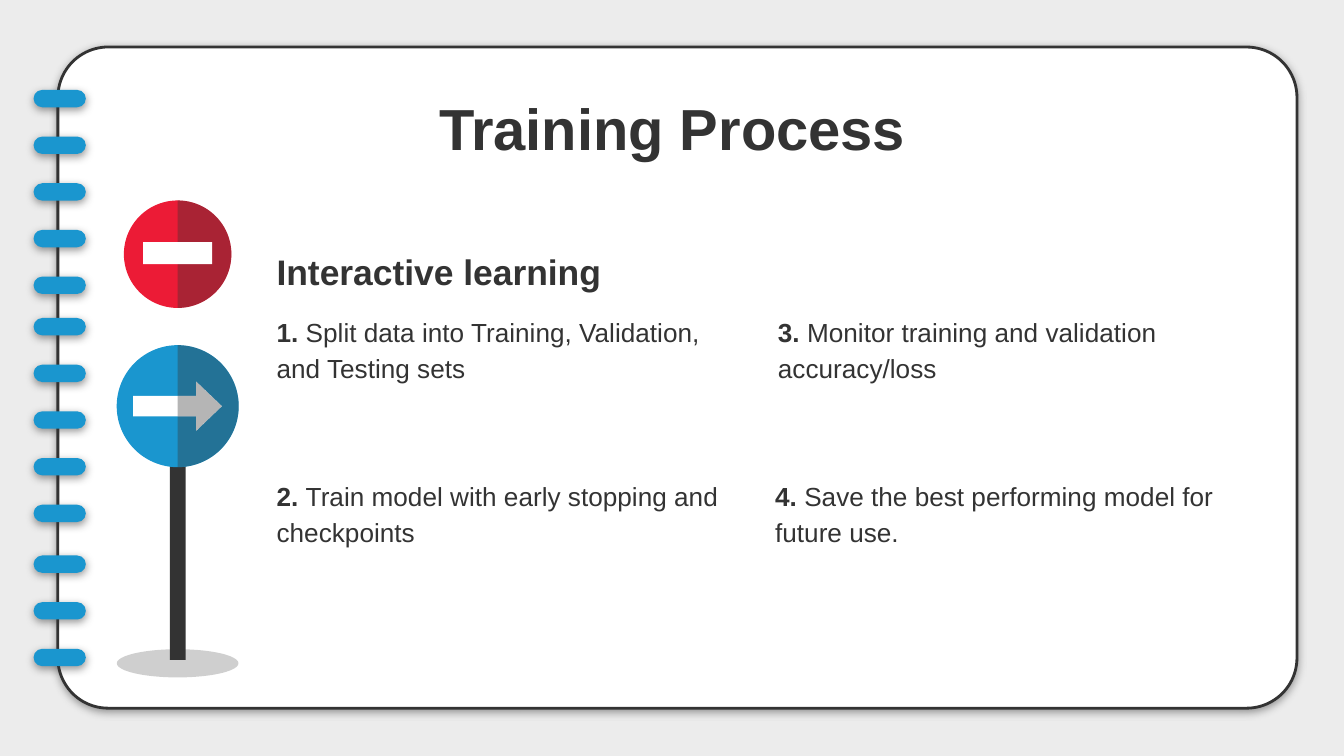
from math import cos, pi, sin

from lxml import etree
from pptx import Presentation
from pptx import util as u
from pptx.dml.color import RGBColor
from pptx.enum import shapes, text
from pptx.oxml import ns

Pt = u.Pt
SHAPE = shapes.MSO_SHAPE
INK, BLUE, RED, WHITE, PAPER = "333333", "1A96CF", "EC1B36", "FFFFFF", "ECECEC"


def color(hex_string):
    return RGBColor.from_string(hex_string)


def add_alpha(node, percent):
    etree.SubElement(node, ns.qn("a:alpha"), val=str(percent * 1000))


class Deck:
    """Slide style plus the slide being drawn; lengths are in points."""

    font = "Arial"

    def __init__(self, width, height):
        self.prs = Presentation()
        self.prs.slide_width, self.prs.slide_height = Pt(width), Pt(height)
        self.s = self.prs.slides.add_slide(self.prs.slide_layouts[6])
        self.s.background.fill.solid()
        self.s.background.fill.fore_color.rgb = color(PAPER)

    def paint(self, sp, fill, alpha=None):
        sp.shadow.inherit = False
        sp.fill.solid()
        sp.fill.fore_color.rgb = color(fill)
        sp.line.fill.background()
        if alpha:
            add_alpha(sp.fill._xPr.find(".//" + ns.qn("a:srgbClr")), alpha)
        return sp

    def shape(self, kind, x, y, w, h, fill, alpha=None):
        sp = self.s.shapes.add_shape(kind, Pt(x), Pt(y), Pt(w), Pt(h))
        return self.paint(sp, fill, alpha)

    def rounded(self, x, y, w, h, fill, radius):
        """Rounded rectangle with a soft shadow below it."""
        sp = self.shape(SHAPE.ROUNDED_RECTANGLE, x, y, w, h, fill)
        sp.adjustments[0] = radius
        effects = sp._element.spPr.find(ns.qn("a:effectLst"))
        shadow = etree.SubElement(effects, ns.qn("a:outerShdw"), blurRad=str(Pt(4.5)),
                                  dist=str(Pt(1.5)), dir="5400000",
                                  algn="bl", rotWithShape="0")
        add_alpha(etree.SubElement(shadow, ns.qn("a:srgbClr"), val=INK), 50)
        return sp

    def outline(self, points, fill, alpha=None):
        points = [(Pt(x), Pt(y)) for x, y in points]
        builder = self.s.shapes.build_freeform(*points[0])
        builder.add_line_segments(points[1:], close=True)
        return self.paint(builder.convert_to_shape(), fill, alpha)

    def disc(self, cx, cy, r, fill):
        """Round sign with its right half shaded."""
        self.shape(SHAPE.OVAL, cx - r, cy - r, 2 * r, 2 * r, fill)
        angles = [pi * i / 40 - pi / 2 for i in range(41)]
        self.outline([(cx + r * cos(a), cy + r * sin(a)) for a in angles], INK, 36)

    def text(self, x, y, w, h, paragraphs, size, align=text.PP_ALIGN.LEFT,
             anchor=text.MSO_ANCHOR.TOP, spacing=1.15):
        """Each paragraph is a list of (text, bold) runs."""
        tf = self.s.shapes.add_textbox(Pt(x), Pt(y), Pt(w), Pt(h)).text_frame
        tf.word_wrap = True
        tf.vertical_anchor = anchor
        tf.margin_left = tf.margin_right = tf.margin_top = tf.margin_bottom = Pt(7.2)
        for i, runs in enumerate(paragraphs):
            p = tf.add_paragraph() if i else tf.paragraphs[0]
            p.alignment, p.line_spacing = align, spacing
            for words, bold in runs:
                r = p.add_run()
                r.text = words
                r.font.name, r.font.size, r.font.bold = self.font, Pt(size), bold
                r.font.color.rgb = color(INK)


def draw_notebook(deck):
    card = deck.rounded(31, 25.2, 663.8, 354.2, WHITE, 0.076)
    card.line.color.rgb = color(INK)
    card.line.width = Pt(1.5)
    for top, count in ((48.2, 5), (170.4, 5), (297.6, 3)):
        for i in range(count):
            deck.rounded(18, top + 25 * i, 28, 9.3, BLUE, 0.5)


def draw_text(deck):
    deck.text(56.2, 42.5, 607.7, 45.4, [[("Training Process", True)]], 31,
              align=text.PP_ALIGN.CENTER, spacing=1)
    steps = [
        (141.1, 159.8, "1. ", ["Split data into Training, Validation,", "and Testing sets"]),
        (409.7, 159.8, "3. ", ["Monitor training and validation accuracy/loss"]),
        (141.1, 247.7, "2. ", ["Train model with early stopping and checkpoints"]),
        (408.2, 247.7, "4. ", ["Save the best performing model for future use."]),
    ]
    for x, y, number, lines in steps:
        paragraphs = [[(line, False)] for line in lines]
        paragraphs[0].insert(0, (number, True))
        deck.text(x, y, 254.2, 52.6, paragraphs, 14)
    deck.text(141.1, 128.2, 254.2, 36, [[("Interactive learning", True)]], 19,
              anchor=text.MSO_ANCHOR.BOTTOM)


def arrow_points(left, cy):
    """Right arrow whose shaft starts at left."""
    neck, tip, shaft, head = 105.1, 118.9, 5.5, 13.2
    return [(left, cy - shaft), (neck, cy - shaft), (neck, cy - head), (tip, cy),
            (neck, cy + head), (neck, cy + shaft), (left, cy + shaft)]


def draw_signpost(deck):
    cx, stop_y, way_y = 95.2, 136.2, 217.6
    deck.disc(cx, stop_y, 28.8, RED)
    deck.shape(SHAPE.RECTANGLE, cx - 18.5, stop_y - 6.4, 37, 11.8, WHITE)
    deck.shape(SHAPE.OVAL, cx - 32.6, 347.8, 65.2, 15.1, INK, 23)
    deck.shape(SHAPE.RECTANGLE, cx - 4.2, 248.4, 8.5, 105.1, INK)
    deck.disc(cx, way_y, 32.7, BLUE)
    deck.outline(arrow_points(71.4, way_y), WHITE)
    deck.outline(arrow_points(cx, way_y), INK, 36)


def main():
    deck = Deck(720, 405)
    draw_notebook(deck)
    draw_text(deck)
    draw_signpost(deck)
    deck.prs.save("out.pptx")


if __name__ == "__main__":
    main()
